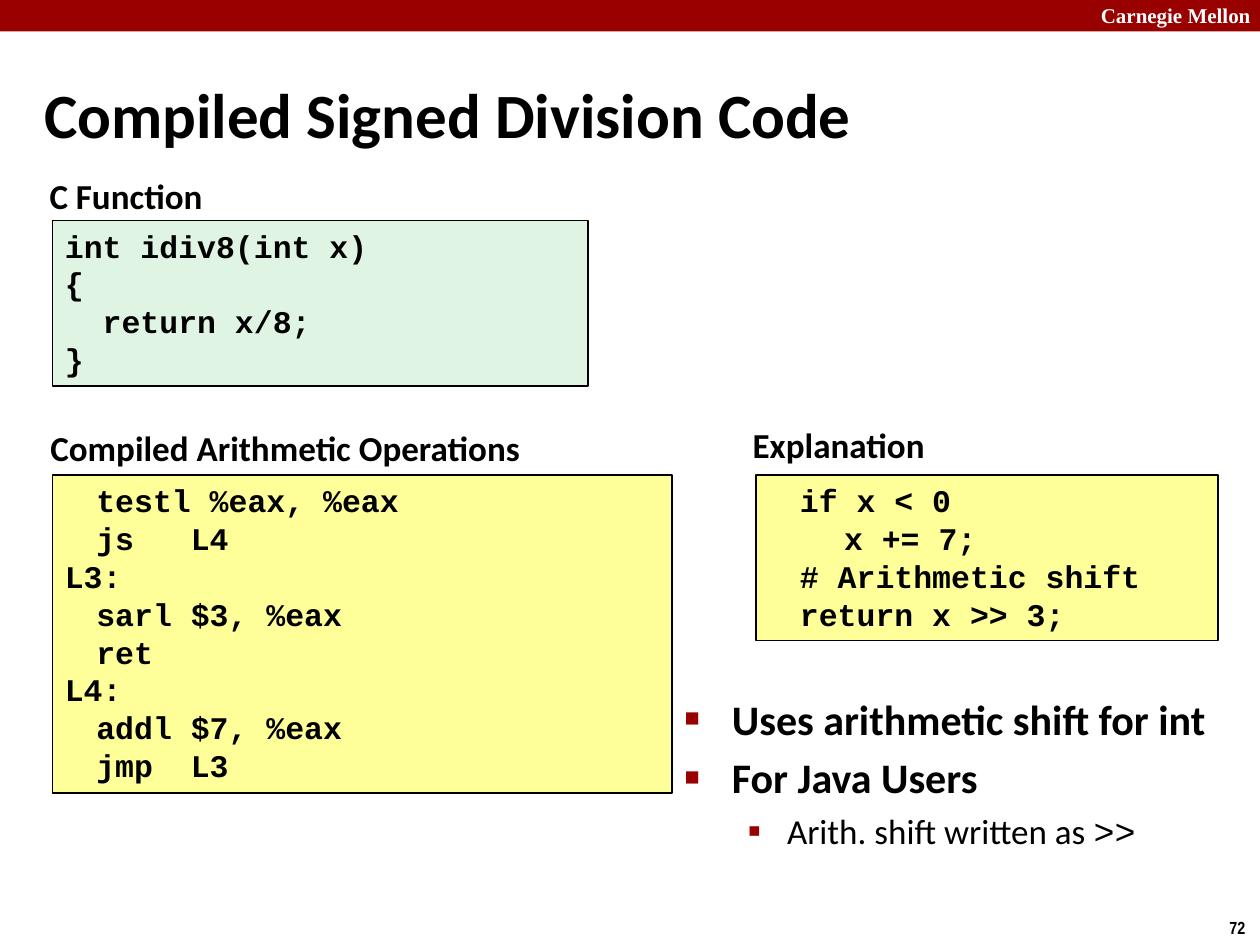
from dataclasses import dataclass
from typing import Any

from lxml.etree import SubElement
from pptx import Presentation
from pptx.dml.color import RGBColor as Rgb
from pptx.enum.shapes import MSO_SHAPE as Shape
from pptx.enum.text import MSO_ANCHOR as Anchor, MSO_AUTO_SIZE as AutoSize, PP_ALIGN as Align
from pptx.oxml.ns import qn
from pptx.util import Pt


@dataclass(frozen=True)
class Theme:
    black: Rgb = Rgb.from_string("000000")
    white: Rgb = Rgb.from_string("FFFFFF")
    red: Rgb = Rgb.from_string("990000")
    green: Rgb = Rgb.from_string("E0F4E3")
    yellow: Rgb = Rgb.from_string("FFFF99")
    sans: str = "Calibri"
    mono: str = "Courier New"
    title: float = 36
    bullet: float = 24
    subpoint: float = 20
    caption: float = 20
    code: float = 18
    header: float = 12
    number: float = 10


THEME = Theme()


@dataclass(frozen=True)
class CodePanel:
    caption: str
    caption_top: float
    caption_width: float
    left: float
    top: float
    width: float
    fill: Rgb
    code: str

    @property
    def height(self) -> float:
        return 21.75 * len(self.code.split("\n")) + 7.5


@dataclass(frozen=True)
class Bullet:
    pieces: tuple[tuple[str, str], ...]
    level: int
    size: float
    bold: bool
    margin: float
    hanging: float
    mark: str
    mark_percent: int
    space_before: float


PANELS = [
    CodePanel("C Function", 96, 96, 30, 126, 306, THEME.green,
              "int idiv8(int x)\n{\n  return x/8;\n}"),
    CodePanel("Compiled Arithmetic Operations", 240, 278, 30, 271.5, 354, THEME.yellow,
              "\ttestl %eax, %eax\n\tjs\tL4\nL3:\n\tsarl\t$3, %eax\n"
              "\tret\nL4:\n\taddl\t$7, %eax\n\tjmp\tL3"),
    CodePanel("Explanation", 238.5, 106.5, 432, 271.5, 264, THEME.yellow,
              "\tif x < 0\n    x += 7;\n\t# Arithmetic shift\n\treturn x >> 3;"),
]

BULLETS = [
    Bullet((("Uses arithmetic shift for int", THEME.sans),),
           0, THEME.bullet, True, 27, 27, "■", 60, 0),
    Bullet((("For Java Users", THEME.sans),),
           0, THEME.bullet, True, 27, 27, "■", 60, 4.8),
    Bullet((("Arith. shift written as ", THEME.sans), (">>", THEME.mono)),
           1, THEME.subpoint, False, 58.5, 22.5, "▪", 110, 4),
]


def apply(target: Any, formats: dict[str, Any]) -> None:
    for name, value in formats.items():
        setattr(target, name, value)


def style_font(font: Any, name: str, size: float, color: Rgb = THEME.black,
               bold: bool = True) -> None:
    apply(font, {"name": name, "size": Pt(size), "bold": bold})
    font.color.rgb = color


def place(shape: Any, left: float, top: float, width: float, height: float) -> None:
    apply(shape, {"left": Pt(left), "top": Pt(top), "width": Pt(width), "height": Pt(height)})


def add_rectangle(slide: Any, box: tuple[float, ...], fill: Rgb) -> Any:
    rectangle = slide.shapes.add_shape(Shape.RECTANGLE, *map(Pt, box))
    rectangle.shadow.inherit = False
    rectangle.fill.solid()
    rectangle.fill.fore_color.rgb = fill
    rectangle.line.fill.background()
    return rectangle


def add_label(slide: Any, text: str, box: tuple[float, ...], font: str, size: float,
              color: Rgb = THEME.black, wrap: bool = False, align: Align = Align.LEFT,
              side_inset: float = 7.2) -> None:
    frame = slide.shapes.add_textbox(*map(Pt, box)).text_frame
    apply(frame, {"word_wrap": wrap, "auto_size": AutoSize.SHAPE_TO_FIT_TEXT,
                  "margin_left": Pt(side_inset), "margin_right": Pt(side_inset)})
    line = frame.paragraphs[0]
    apply(line, {"text": text, "alignment": align})
    style_font(line.font, font, size, color)


def add_tab_stop(paragraph: Any, position: float) -> None:
    tabs = SubElement(paragraph._p.get_or_add_pPr(), qn("a:tabLst"))
    SubElement(tabs, qn("a:tab"), pos=str(Pt(position)), algn="l")


def add_code_panel(slide: Any, panel: CodePanel) -> None:
    rectangle = add_rectangle(
        slide, (panel.left, panel.top, panel.width, panel.height), panel.fill)
    rectangle.line.color.rgb = THEME.black
    rectangle.line.width = Pt(1)
    frame = rectangle.text_frame
    apply(frame, {"text": panel.code, "word_wrap": True, "vertical_anchor": Anchor.TOP,
                  "auto_size": AutoSize.SHAPE_TO_FIT_TEXT})
    for line in frame.paragraphs:
        line.alignment = Align.LEFT
        if "\t" in panel.code:
            add_tab_stop(line, 18)
        style_font(line.font, THEME.mono, THEME.code)
    add_label(slide, panel.caption,
              (panel.left - 6, panel.caption_top, panel.caption_width, 31.5),
              THEME.sans, THEME.caption, align=Align.CENTER, side_inset=3.6)


def set_indent(paragraph: Any, margin: float, hanging: float) -> Any:
    properties = paragraph._p.get_or_add_pPr()
    properties.set("marL", str(Pt(margin)))
    properties.set("indent", str(-Pt(hanging)))
    return properties


def fill_bullet(paragraph: Any, bullet: Bullet) -> None:
    properties = set_indent(paragraph, bullet.margin, bullet.hanging)
    color = SubElement(properties, qn("a:buClr"))
    SubElement(color, qn("a:srgbClr"), val=str(THEME.red))
    SubElement(properties, qn("a:buSzPct"), val=str(bullet.mark_percent * 1000))
    SubElement(properties, qn("a:buChar"), char=bullet.mark)
    apply(paragraph, {"level": bullet.level, "space_before": Pt(bullet.space_before)})
    for text, font in bullet.pieces:
        run = paragraph.add_run()
        run.text = text
        style_font(run.font, font, bullet.size, bold=bullet.bold)


def fill_title(title: Any) -> None:
    place(title, 18, 42, 642, 45)
    apply(title.text_frame, {"text": "Compiled Signed Division Code",
                             "vertical_anchor": Anchor.MIDDLE, "auto_size": AutoSize.NONE})
    heading = title.text_frame.paragraphs[0]
    set_indent(heading, 9, 9)
    heading.alignment = Align.LEFT
    style_font(heading.font, THEME.sans, THEME.title)


def fill_body(body: Any) -> None:
    place(body, 384, 392.4, 336, 93.6)
    frame = body.text_frame
    frame.auto_size = AutoSize.NONE
    for index, bullet in enumerate(BULLETS):
        fill_bullet(frame.add_paragraph() if index else frame.paragraphs[0], bullet)


def main() -> None:
    deck = Presentation()
    apply(deck, {"slide_width": Pt(720), "slide_height": Pt(540)})
    slide = deck.slides.add_slide(deck.slide_layouts[1])
    add_rectangle(slide, (0, 0, 720, 18), THEME.red)
    add_label(slide, "Carnegie Mellon", (622, -2, 103, 21.6),
              "Times New Roman", THEME.header, THEME.white, wrap=True)
    add_label(slide, "72", (695.5, 520.5, 24.5, 19.5), "Arial Narrow", THEME.number)
    fill_title(slide.shapes.title)
    fill_body(slide.placeholders[1])
    for panel in PANELS:
        add_code_panel(slide, panel)
    deck.save("out.pptx")


if __name__ == "__main__":
    main()
